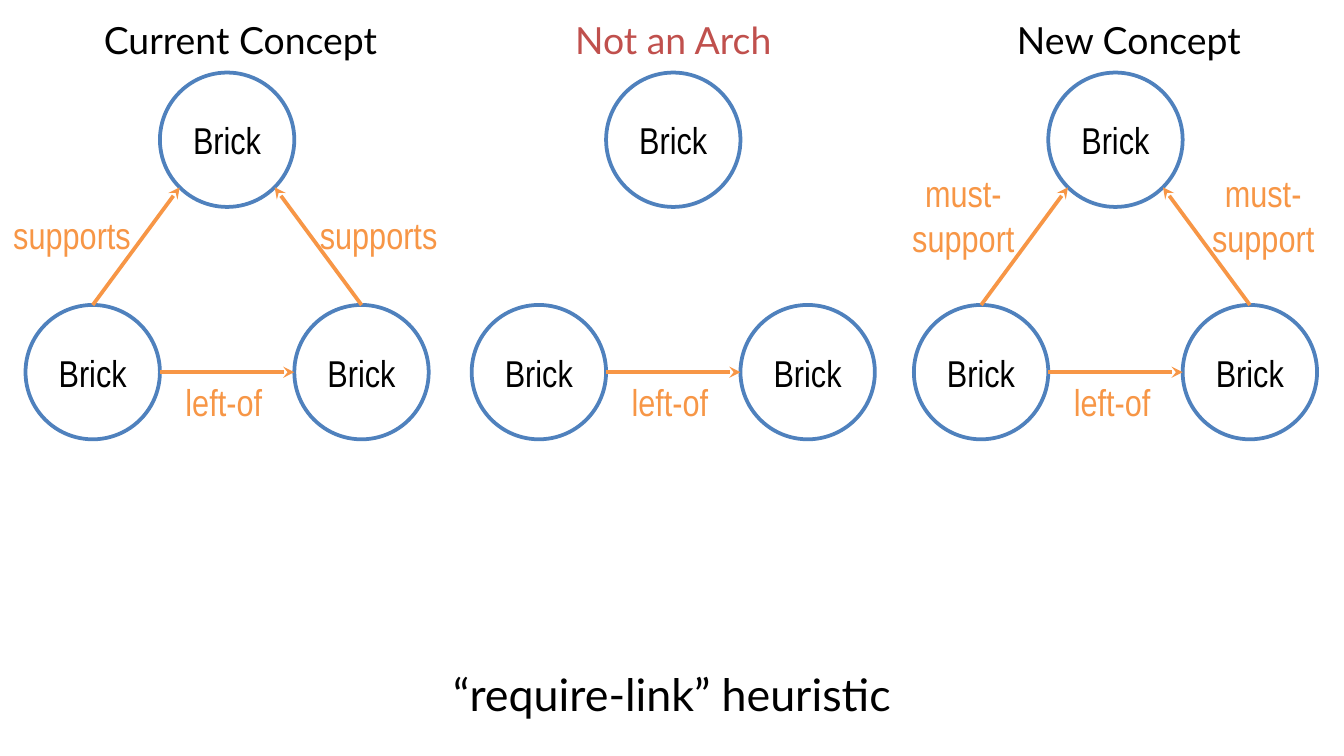
import math

import pptx
import pptx.dml.color
import pptx.enum.shapes
import pptx.enum.text
import pptx.oxml
import pptx.oxml.ns
import pptx.util

Pt = pptx.util.Pt
ALIGN = pptx.enum.text.PP_ALIGN
ANCHOR = pptx.enum.text.MSO_ANCHOR

COLOURS = {
    "paper": "FFFFFF",
    "ink": "000000",
    "outline": "4F81BD",
    "link": "F79646",
    "negative": "C0504D",
}

# Geometry of one arch, in points
DIAMETER = 72
RADIUS = DIAMETER / 2
TOP_BRICK = 38.9
BASE_BRICK = 163.4


class ConceptPage:
    """Style and current slide, with one method per kind of element."""

    node_font = "Arial Narrow"
    heading_font = "Lato"
    text_size = 20
    line_width = 2

    def __init__(self, page):
        self.page = page

    def colour(self, name):
        return pptx.dml.color.RGBColor.from_string(COLOURS[name])

    def fill_text(self, frame, text, font, size, colour, align):
        para = frame.paragraphs[0]
        para.text = text
        para.alignment = align
        for span in para.runs:
            span.font.name = font
            span.font.size = Pt(size)
            span.font.color.rgb = self.colour(colour)

    def brick(self, left, top):
        circle = self.page.shapes.add_shape(
            pptx.enum.shapes.MSO_SHAPE.OVAL,
            Pt(left), Pt(top), Pt(DIAMETER), Pt(DIAMETER))
        circle.shadow.inherit = False
        circle.fill.solid()
        circle.fill.fore_color.rgb = self.colour("paper")
        circle.line.color.rgb = self.colour("outline")
        circle.line.width = Pt(self.line_width)
        frame = circle.text_frame
        frame.margin_left = frame.margin_right = 0
        frame.margin_top = frame.margin_bottom = 0
        frame.vertical_anchor = ANCHOR.MIDDLE
        self.fill_text(frame, "Brick", self.node_font, self.text_size, "ink",
                       ALIGN.CENTER)

    def arrow(self, start, end):
        link = self.page.shapes.add_connector(
            pptx.enum.shapes.MSO_CONNECTOR.STRAIGHT,
            Pt(start[0]), Pt(start[1]), Pt(end[0]), Pt(end[1]))
        link.line.color.rgb = self.colour("link")
        link.line.width = Pt(self.line_width)
        head = pptx.oxml.parse_xml(
            f'<a:tailEnd {pptx.oxml.ns.nsdecls("a")} type="stealth"/>')
        link.get_or_add_ln().append(head)
        link._element.spPr.append(
            pptx.oxml.parse_xml(f'<a:effectLst {pptx.oxml.ns.nsdecls("a")}/>'))

    def text(self, text, left, top, width, height, font, colour,
             size=text_size, align=ALIGN.CENTER, wrap=True):
        box = self.page.shapes.add_textbox(Pt(left), Pt(top), Pt(width), Pt(height))
        box.text_frame.word_wrap = wrap
        self.fill_text(box.text_frame, text, font, size, colour, align)

    def heading(self, text, left, width, colour):
        self.text(text, left, 5.8, width, 28.8, self.heading_font, colour)

    def label(self, text, left, top, width, height, align=ALIGN.CENTER):
        self.text(text, left, top, width, height, self.node_font, "link",
                  align=align, wrap=False)

    def arch(self, left, support=None):
        """Three bricks; support holds the label of the two upward links."""
        centre = left + 1.5 * DIAMETER
        right = left + 2 * DIAMETER

        # Bricks
        self.brick(left + DIAMETER, TOP_BRICK)
        self.brick(left, BASE_BRICK)
        self.brick(right, BASE_BRICK)

        # Links from the base bricks up to the top brick
        if support:
            reach = RADIUS * math.sqrt(0.5)
            for side in (-1, 1):
                self.arrow((centre + side * DIAMETER, BASE_BRICK),
                           (centre + side * reach, TOP_BRICK + RADIUS + reach))
            for offset in support["offsets"]:
                self.label(support["text"], left + offset, support["top"],
                           79, support["height"], support["align"])

        # Link between the base bricks
        middle = BASE_BRICK + RADIUS
        self.arrow((left + DIAMETER, middle), (right, middle))
        self.label("left-of", left + 68.4, middle, 75.6, 28.8)


def main():
    deck = pptx.Presentation()
    deck.slide_width = Pt(720)
    deck.slide_height = Pt(405)
    concept = ConceptPage(deck.slides.add_slide(deck.slide_layouts[6]))

    supports = {"text": "supports", "offsets": (-13.7, 150.5), "top": 110.2,
                "height": 31.7, "align": ALIGN.LEFT}
    must_support = {"text": "must-\nsupport", "offsets": (-13, 147.6), "top": 87.8,
                    "height": 51.1, "align": ALIGN.CENTER}

    # Three arches side by side
    arches = (
        ("Current Concept", 13.7, 230.4, "ink", supports),
        ("Not an Arch", 252.7, 216, "negative", None),
        ("New Concept", 489.6, 230.4, "ink", must_support),
    )
    for heading, left, width, colour, support in arches:
        concept.arch(left, support)
        concept.heading(heading, left, width, colour)

    # Caption
    concept.text("“require-link” heuristic", 0, 353.5, 720, 36,
                 concept.heading_font, "ink", size=24)

    deck.save("out.pptx")


if __name__ == "__main__":
    main()
